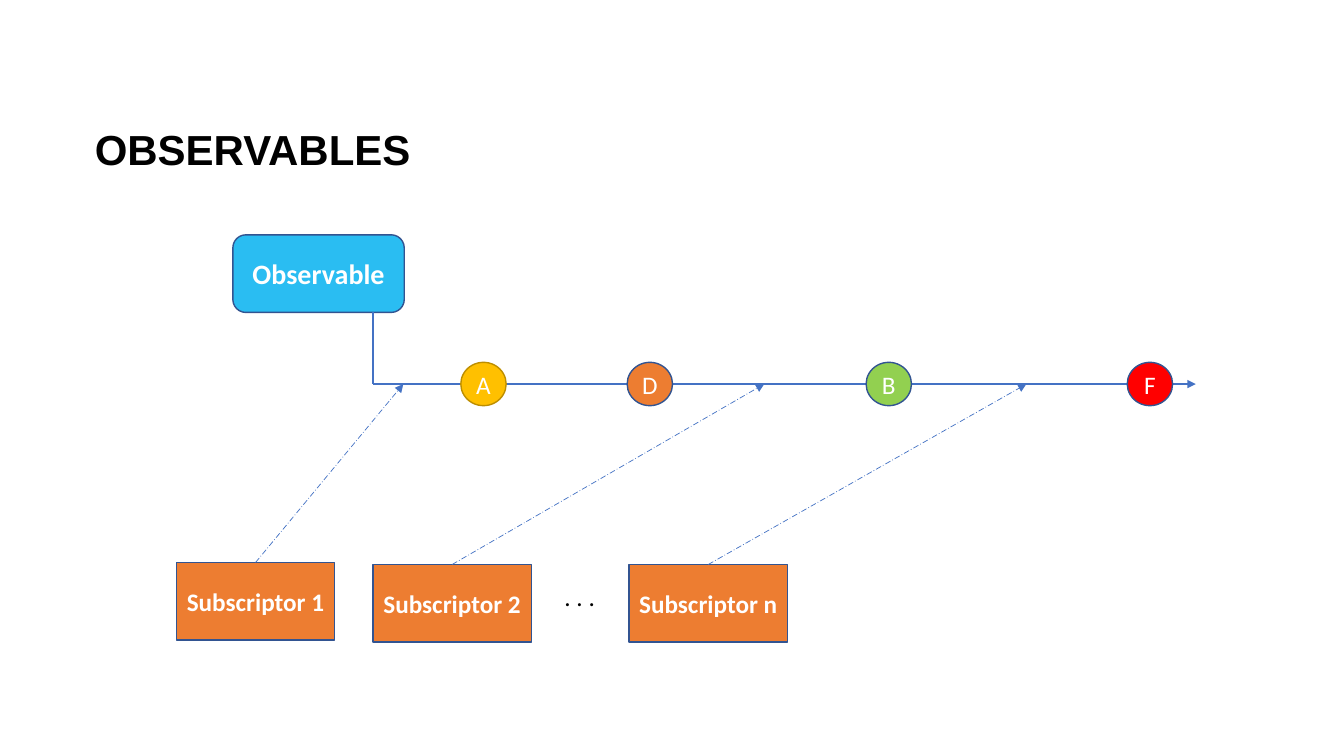
from lxml.etree import SubElement
from pptx import Presentation
from pptx.dml.color import RGBColor
from pptx.enum.dml import MSO_LINE
from pptx.enum.shapes import MSO_CONNECTOR, MSO_SHAPE
from pptx.enum.text import MSO_ANCHOR, PP_ALIGN
from pptx.oxml.ns import qn
from pptx.util import Inches, Pt

BLACK = RGBColor(0x00, 0x00, 0x00)
WHITE = RGBColor(0xFF, 0xFF, 0xFF)
SKY = RGBColor(0x2A, 0xBD, 0xF2)
ORANGE = RGBColor(0xED, 0x7D, 0x31)
AMBER = RGBColor(0xFF, 0xC0, 0x00)
GREEN = RGBColor(0x92, 0xD0, 0x50)
RED = RGBColor(0xFF, 0x00, 0x00)
NAVY = RGBColor(0x32, 0x54, 0x91)
DARK_AMBER = RGBColor(0xBD, 0x8E, 0x00)
BLUE = RGBColor(0x44, 0x72, 0xC4)

STREAM_LEFT, STREAM_RIGHT, STREAM_Y = 3.7, 11.86, 3.81
EVENT_WIDTH, EVENT_HEIGHT = 0.45, 0.43
BOX_HEIGHT = 0.77
SUBSCRIPTOR_WIDTH = 1.57

# letter, left, fill, outline
EVENTS = [
    ("A", 4.57, AMBER, DARK_AMBER),
    ("D", 6.22, ORANGE, NAVY),
    ("B", 8.59, GREEN, NAVY),
    ("F", 11.18, RED, NAVY),
]
# name, left, top, place on the stream where it joins
SUBSCRIPTORS = [
    ("Subscriptor 1", 1.75, 5.58, 4.0),
    ("Subscriptor 2", 3.7, 5.6, 7.58),
    ("Subscriptor n", 6.24, 5.6, 10.18),
]


def write(frame, text, size=18, font="Calibri", color=WHITE, bold=False,
          align=PP_ALIGN.CENTER, anchor=MSO_ANCHOR.MIDDLE, wrap=True):
    frame.word_wrap = wrap
    frame.vertical_anchor = anchor
    para = frame.paragraphs[0]
    para.alignment = align
    span = para.add_run()
    span.text = text
    span.font.size = Pt(size)
    span.font.name = font
    span.font.bold = bold
    span.font.color.rgb = color


def place(shape, left, top, width, height):
    shape.left, shape.top = Inches(left), Inches(top)
    shape.width, shape.height = Inches(width), Inches(height)


def add_title(page, text):
    title = page.shapes.title
    place(title, 0.84, 1.18, 3.36, 0.61)
    write(title.text_frame, text, size=30, font="Arial", color=BLACK, bold=True,
          align=PP_ALIGN.LEFT, anchor=MSO_ANCHOR.TOP, wrap=False)


def add_node(page, kind, text, left, top, width, height, fill, outline=NAVY, **style):
    """Add a filled preset shape with centred text."""
    node = page.shapes.add_shape(kind, Inches(left), Inches(top),
                                 Inches(width), Inches(height))
    node.shadow.inherit = False
    node.fill.solid()
    node.fill.fore_color.rgb = fill
    node.line.color.rgb = outline
    node.line.width = Pt(1)
    frame = node.text_frame
    frame.margin_left = frame.margin_right = 0
    write(frame, text, **style)


def add_line(page, start, end, width=1.5, dash=None, arrow=True):
    line = page.shapes.add_connector(MSO_CONNECTOR.STRAIGHT,
                                     *map(Inches, start + end))
    line.line.color.rgb = BLUE
    line.line.width = Pt(width)
    if dash:
        line.line.dash_style = dash
    if arrow:
        SubElement(line.line._get_or_add_ln(), qn("a:tailEnd"), type="triangle")
    SubElement(line._element.spPr, qn("a:effectLst"))


def add_ellipsis(page):
    box = page.shapes.add_textbox(Inches(5.5), Inches(5.72), Inches(0.55), Inches(0.4))
    write(box.text_frame, ". . .", color=BLACK, align=PP_ALIGN.LEFT,
          anchor=MSO_ANCHOR.TOP)


def add_stream(page):
    corner = (STREAM_LEFT, STREAM_Y)
    add_line(page, corner, (STREAM_RIGHT, STREAM_Y))
    add_line(page, (STREAM_LEFT, 3.1), corner, arrow=False)
    for letter, left, fill, outline in EVENTS:
        add_node(page, MSO_SHAPE.OVAL, letter, left, STREAM_Y - EVENT_HEIGHT / 2,
                 EVENT_WIDTH, EVENT_HEIGHT, fill, outline)


def add_subscriptors(page):
    for name, left, top, joins_at in SUBSCRIPTORS:
        add_node(page, MSO_SHAPE.RECTANGLE, name, left, top,
                 SUBSCRIPTOR_WIDTH, BOX_HEIGHT, ORANGE, bold=True)
        add_line(page, (left + SUBSCRIPTOR_WIDTH / 2, top), (joins_at, STREAM_Y),
                 width=0.5, dash=MSO_LINE.LONG_DASH_DOT)


def main():
    deck = Presentation()
    deck.slide_width, deck.slide_height = Inches(13.33), Inches(7.5)
    page = deck.slides.add_slide(deck.slide_layouts.get_by_name("Title Only"))
    add_title(page, "OBSERVABLES")
    add_node(page, MSO_SHAPE.ROUNDED_RECTANGLE, "Observable", 2.31, 2.33,
             1.7, BOX_HEIGHT, SKY, size=20, bold=True)
    add_ellipsis(page)
    add_stream(page)
    add_subscriptors(page)
    deck.save("out.pptx")


if __name__ == "__main__":
    main()
